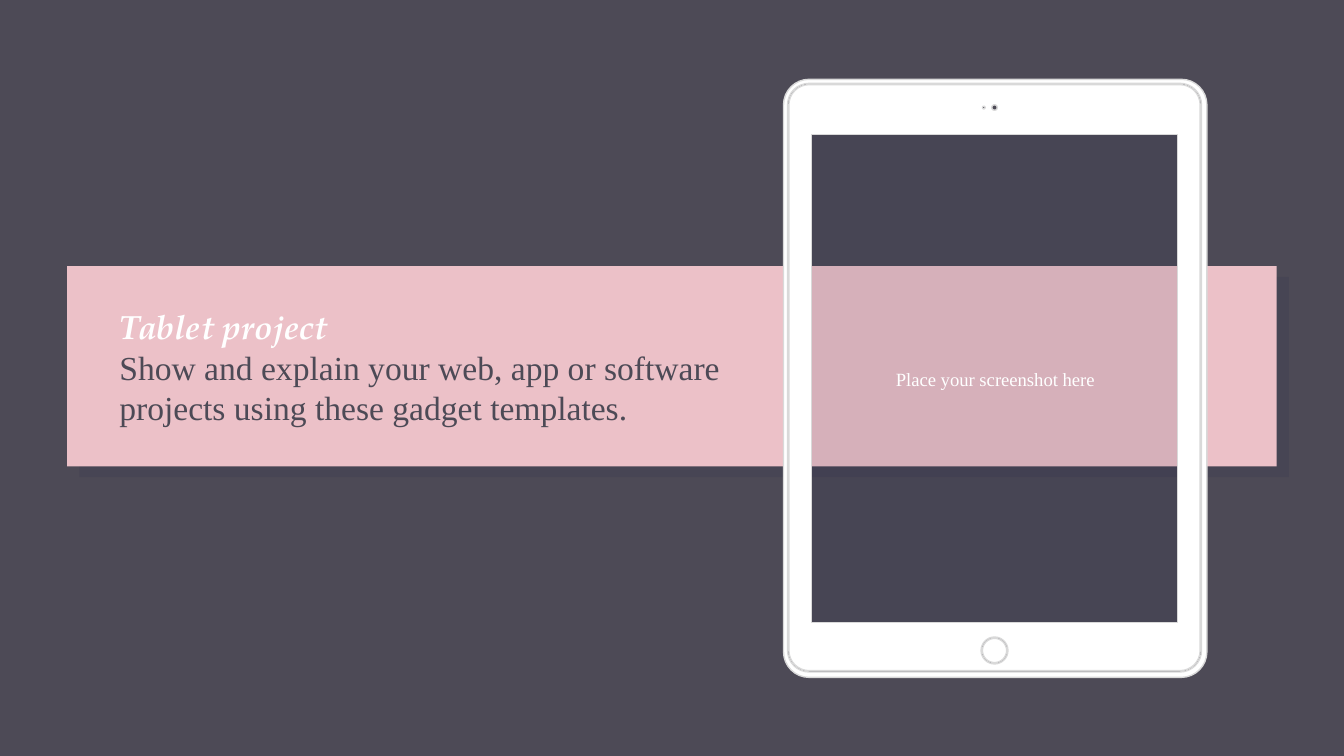
"""Build the tablet project slide."""
from dataclasses import dataclass
from math import cos, pi, sin

from lxml.etree import SubElement
from pptx import Presentation
from pptx.dml.color import RGBColor
from pptx.enum.shapes import MSO_SHAPE
from pptx.enum.text import MSO_ANCHOR, PP_ALIGN
from pptx.oxml.ns import qn
from pptx.util import Inches, Pt

SLATE, NAVY, PINK, WHITE, GREY = "4D4A56", "1B1B46", "ECC1C8", "FFFFFF", "D9D9D9"
SERIF, DISPLAY = "Times New Roman", "TeX Gyre Pagella"


@dataclass
class Panel:
    left: float
    top: float
    width: float
    height: float
    color: str
    alpha: int = 100


@dataclass
class Contour:
    left: float
    top: float
    right: float
    bottom: float
    radius: float = 0


@dataclass
class Line:
    text: str
    color: str
    formats: dict


def paint(fill, color: str, alpha: int = 100) -> None:
    fill.solid()
    fill.fore_color.rgb = RGBColor.from_string(color)
    if alpha < 100:
        hue = fill._xPr.find(".//" + qn("a:srgbClr"))
        SubElement(hue, qn("a:alpha"), val=str(alpha * 1000))


def add_panel(panel: Panel):
    box = map(Inches, (panel.left, panel.top, panel.width, panel.height))
    rectangle = slide.shapes.add_shape(MSO_SHAPE.RECTANGLE, *box)
    paint(rectangle.fill, panel.color, panel.alpha)
    rectangle.line.fill.background()
    rectangle.shadow.inherit = False
    return rectangle


def write(frame, lines: list[Line], align: PP_ALIGN) -> None:
    margins = {f"margin_{side}": Inches(0.1) for side in ("left", "top", "right", "bottom")}
    settings = {"word_wrap": True, "vertical_anchor": MSO_ANCHOR.MIDDLE, **margins}
    for name, value in settings.items():
        setattr(frame, name, value)
    for index, line in enumerate(lines):
        paragraph = frame.add_paragraph() if index else frame.paragraphs[0]
        paragraph.alignment = align
        run = paragraph.add_run()
        run.text = line.text
        paint(run.font.fill, line.color)
        for name, value in line.formats.items():
            setattr(run.font, name, value)


def outline(contour: Contour, steps: int = 8) -> list[tuple[int, int]]:
    radius = contour.radius
    left, right = contour.left + radius, contour.right - radius
    top, bottom = contour.top + radius, contour.bottom - radius
    centers = [(right, bottom), (left, bottom), (left, top), (right, top)]
    turns = range(steps + 1) if radius else [0]
    points = []
    for quarter, (x, y) in enumerate(centers):
        for turn in turns:
            angle = (quarter + turn / steps) * pi / 2
            points.append((Inches(x + radius * cos(angle)), Inches(y + radius * sin(angle))))
    return points


def circle(x: float, y: float, radius: float) -> Contour:
    return Contour(x - radius, y - radius, x + radius, y + radius, radius)


def add_tablet(contours: list[Contour]) -> None:
    first, *others = map(outline, contours)
    builder = slide.shapes.build_freeform(*first[0])
    builder.add_line_segments(first[1:], close=True)
    for points in others:
        builder.move_to(*points[0])
        builder.add_line_segments(points[1:], close=True)
    tablet = builder.convert_to_shape()
    paint(tablet.fill, WHITE)
    paint(tablet.line.fill, GREY)
    tablet.line.width = Pt(0.75)
    tablet.shadow.inherit = False


deck = Presentation()
deck.slide_width = Inches(10)
deck.slide_height = deck.slide_width * 9 // 16
slide = deck.slides.add_slide(deck.slide_layouts[6])
paint(slide.background.fill, SLATE)

for band in (Panel(0.59, 2.06, 9, 1.49, NAVY, 10), Panel(0.5, 1.98, 9, 1.49, PINK)):
    add_panel(band)

description = slide.shapes.add_textbox(*map(Inches, (0.79, 1.98, 4.96, 1.5)))
write(description.text_frame, [
    Line("Tablet project", WHITE,
         {"name": DISPLAY, "size": Pt(18), "bold": True, "italic": True}),
    Line("Show and explain your web, app or software projects using these gadget templates.",
         SLATE, {"name": SERIF, "size": Pt(18)}),
], PP_ALIGN.LEFT)

screen = add_panel(Panel(6.03, 1, 2.75, 3.64, NAVY, 10))
write(screen.text_frame, [
    Line("Place your screenshot here", WHITE, {"name": SERIF, "size": Pt(10)}),
], PP_ALIGN.CENTER)

add_tablet([
    Contour(5.83, 0.59, 8.98, 5.04, 0.19),
    Contour(5.86, 0.62, 8.94, 5, 0.16),
    Contour(5.87, 0.63, 8.93, 4.99, 0.15),
    Contour(6.04, 1, 8.76, 4.63),
    circle(7.4, 4.84, 0.1),
    circle(7.4, 4.84, 0.09),
    circle(7.4, 0.8, 0.02),
    circle(7.32, 0.8, 0.01),
])

deck.save("out.pptx")
